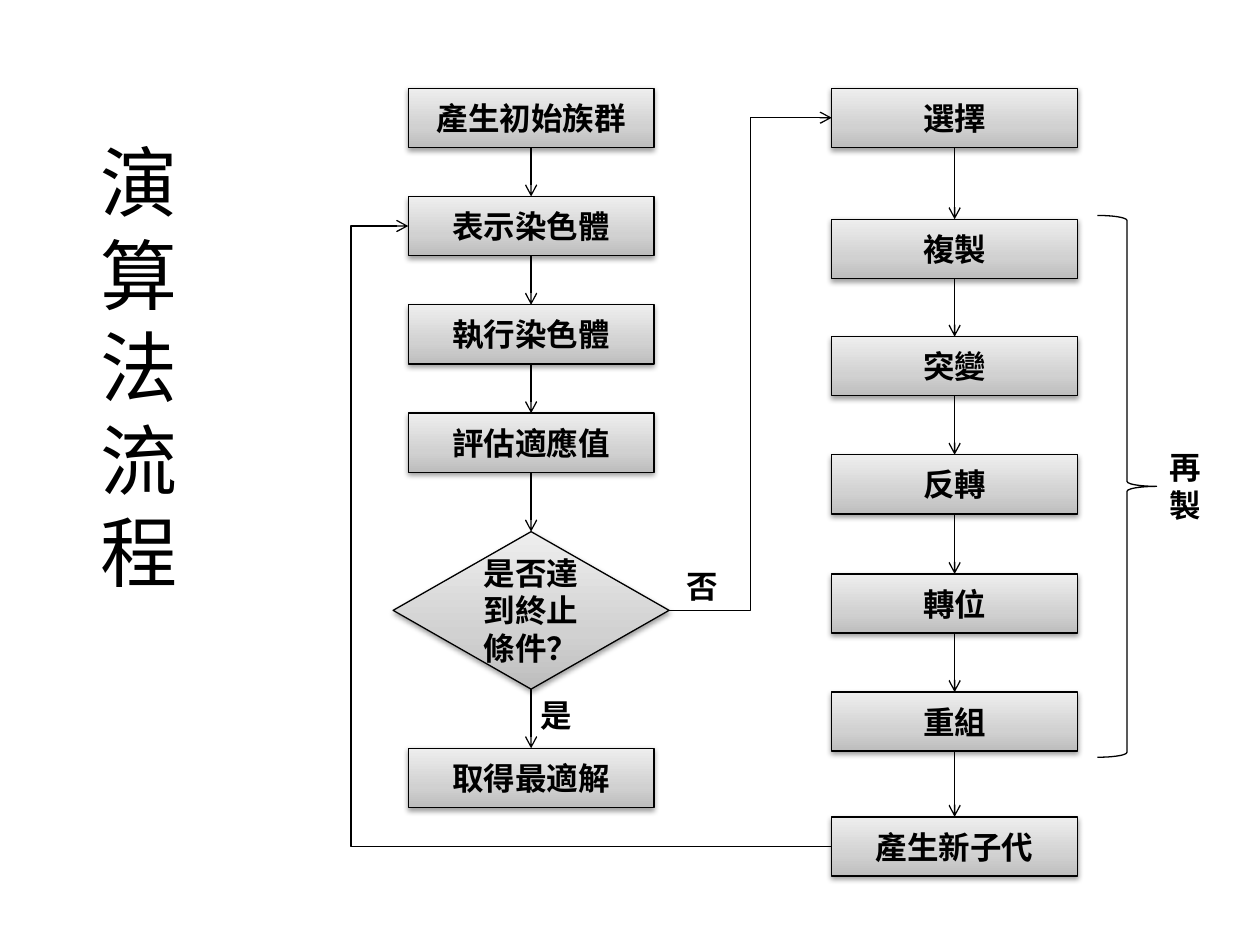
"""Build a flowchart slide of an evolutionary algorithm."""
from copy import deepcopy
from dataclasses import dataclass
from itertools import pairwise

from lxml import etree
from pptx import Presentation
from pptx.dml.color import RGBColor
from pptx.enum.shapes import MSO_CONNECTOR, MSO_SHAPE
from pptx.enum.text import MSO_ANCHOR, MSO_AUTO_SIZE, PP_ALIGN
from pptx.oxml.ns import qn
from pptx.shapes.autoshape import Shape
from pptx.shapes.connector import Connector
from pptx.slide import Slide
from pptx.text.text import TextFrame
from pptx.util import Pt

RECT, DIAMOND, BRACE = MSO_SHAPE.RECTANGLE, MSO_SHAPE.DIAMOND, MSO_SHAPE.LEFT_BRACE
STRAIGHT, ELBOW = MSO_CONNECTOR.STRAIGHT, MSO_CONNECTOR.ELBOW
LEFT, CENTER = PP_ALIGN.LEFT, PP_ALIGN.CENTER
TOP, MIDDLE = MSO_ANCHOR.TOP, MSO_ANCHOR.MIDDLE
NO_AUTOSIZE = MSO_AUTO_SIZE.NONE
TOP_SITE, LEFT_SITE, BOTTOM_SITE, RIGHT_SITE = range(4)

COLORS = {"ink": "000000", "low": "BDBDBD", "mid": "D1D1D1", "high": "EEEEEE"}
GRADIENT = ((0, "low"), (0.35, "mid"), (1, "high"))
FONT = "Noto Sans CJK SC"
TITLE_SIZE, BODY_SIZE = 44, 18
LINE_FACTOR = 1.2
LINE_WIDTH = 0.75
STEP_WIDTH, STEP_HEIGHT = 140.4, 33.8
MAIN_CENTER, REPRODUCTION_CENTER = 303.5, 545.5
FIRST_TOP, MAIN_PITCH = 50.4, 61.9


@dataclass(frozen=True)
class Step:
    """A flowchart node, centred on its column."""

    text: str
    center: float
    top: float
    width: float = STEP_WIDTH
    height: float = STEP_HEIGHT
    kind: MSO_SHAPE = RECT


@dataclass(frozen=True)
class Label:
    """A free caption, one paragraph per line."""

    lines: str
    left: float
    top: float
    width: float
    height: float


MAIN_STEPS = [
    Step(text, MAIN_CENTER, FIRST_TOP + row * MAIN_PITCH)
    for row, text in enumerate(("產生初始族群", "表示染色體", "執行染色體", "評估適應值"))
] + [
    Step("是否達到終止條件？", MAIN_CENTER, 303.8, 157.7, 90, DIAMOND),
    Step("取得最適解", MAIN_CENTER, 427.6),
]
REPRODUCTION_STEPS = [
    Step(text, REPRODUCTION_CENTER, top)
    for text, top in (
        ("選擇", FIRST_TOP), ("複製", 125.3), ("突變", 192.4), ("反轉", 259.9),
        ("轉位", 328), ("重組", 395.5), ("產生新子代", 466.8),
    )
]
LABELS = (
    Label("是", 301.7, 394, 32.4, 29),
    Label("否", 385.2, 320.6, 32.4, 29),
    Label("再製", 661, 252.7, 32.4, 51),
)


def rgb(key: str) -> RGBColor:
    """Look up a palette colour."""
    return RGBColor.from_string(COLORS[key])


def write(frame: TextFrame, lines: list[str], size: float, bold: bool,
          align: PP_ALIGN, anchor: MSO_ANCHOR, fixed_pitch: bool) -> None:
    """Fill a text frame with one run per paragraph."""
    frame.word_wrap = True
    frame.auto_size = NO_AUTOSIZE
    frame.vertical_anchor = anchor
    for index, line in enumerate(lines):
        paragraph = frame.add_paragraph() if index else frame.paragraphs[0]
        paragraph.alignment = align
        if fixed_pitch:
            paragraph.line_spacing = Pt(size * LINE_FACTOR)
        run = paragraph.add_run()
        run.text = line
        run.font.size = Pt(size)
        run.font.bold = bold
        run.font.color.rgb = rgb("ink")
        run.font.name = FONT
        etree.SubElement(run.font._element, qn("a:ea"), typeface=FONT)


def outline(item: Shape | Connector) -> None:
    """Give a shape or connector the thin dark line."""
    item.line.color.rgb = rgb("ink")
    item.line.width = Pt(LINE_WIDTH)


def shade(node: Shape) -> None:
    """Apply the grey gradient and the soft drop shadow."""
    node.fill.gradient()
    node.fill.gradient_angle = 90
    stops = node._element.spPr.find(f".//{qn('a:gsLst')}")
    stops.append(deepcopy(stops[-1]))
    for stop, (position, key) in zip(node.fill.gradient_stops, GRADIENT):
        stop.position = position
        stop.color.rgb = rgb(key)
    node.shadow.inherit = False
    effects = node._element.spPr.find(qn("a:effectLst"))
    shadow = etree.SubElement(
        effects, qn("a:outerShdw"), blurRad=str(Pt(3.1)), dist=str(Pt(1.6)),
        dir="5400000", rotWithShape="0")
    tint = etree.SubElement(shadow, qn("a:srgbClr"), val=COLORS["ink"])
    etree.SubElement(tint, qn("a:alpha"), val="38000")


def draw_step(slide: Slide, step: Step) -> Shape:
    """Draw a flowchart node."""
    node = slide.shapes.add_shape(
        step.kind, Pt(step.center - step.width / 2), Pt(step.top),
        Pt(step.width), Pt(step.height))
    shade(node)
    outline(node)
    write(node.text_frame, [step.text], BODY_SIZE, True, CENTER, MIDDLE,
          step.kind == DIAMOND)
    return node


def draw_arrow(slide: Slide, source: Shape, target: Shape,
               source_site: int = BOTTOM_SITE, target_site: int = TOP_SITE,
               kind: MSO_CONNECTOR = STRAIGHT, bend: float = 0.5) -> None:
    """Join two nodes with an arrow glued to their connection sites."""
    arrow = slide.shapes.add_connector(kind, 0, 0, 0, 0)
    arrow.begin_connect(source, source_site)
    arrow.end_connect(target, target_site)
    outline(arrow)
    properties = arrow._element.spPr
    etree.SubElement(properties.find(qn("a:ln")), qn("a:tailEnd"), type="arrow")
    etree.SubElement(properties, qn("a:effectLst"))
    if kind == ELBOW:
        guides = properties.find(f".//{qn('a:avLst')}")
        etree.SubElement(guides, qn("a:gd"), name="adj1",
                         fmla=f"val {round(bend * 100000)}")


def draw_label(slide: Slide, label: Label) -> None:
    """Draw a bold caption."""
    caption = slide.shapes.add_textbox(
        Pt(label.left), Pt(label.top), Pt(label.width), Pt(label.height))
    write(caption.text_frame, list(label.lines), BODY_SIZE, True, LEFT, TOP,
          len(label.lines) > 1)


def draw_title(slide: Slide, text: str) -> None:
    """Stack the title characters down the left edge."""
    title = slide.shapes.title
    title.left, title.top, title.width, title.height = Pt(50.4), Pt(73.4), Pt(59), Pt(273.6)
    write(title.text_frame, list(text), TITLE_SIZE, False, LEFT, TOP, True)


def draw_brace(slide: Slide) -> None:
    """Bracket the reproduction operators."""
    brace = slide.shapes.add_shape(BRACE, Pt(627.1), Pt(123.1), Pt(33.8), Pt(309.6))
    brace.rotation = 180
    brace.fill.background()
    brace.shadow.inherit = False
    outline(brace)


def main() -> None:
    """Build and save the slide."""
    deck = Presentation()
    deck.slide_width, deck.slide_height = Pt(720), Pt(540)
    slide = deck.slides.add_slide(deck.slide_layouts[5])
    draw_title(slide, "演算法流程")
    main_nodes = [draw_step(slide, step) for step in MAIN_STEPS]
    reproduction_nodes = [draw_step(slide, step) for step in REPRODUCTION_STEPS]
    for column in (main_nodes, reproduction_nodes):
        for source, target in pairwise(column):
            draw_arrow(slide, source, target)
    represent, decision = main_nodes[1], main_nodes[4]
    select, offspring = reproduction_nodes[0], reproduction_nodes[-1]
    draw_arrow(slide, decision, select, RIGHT_SITE, LEFT_SITE, ELBOW)
    draw_arrow(slide, offspring, represent, LEFT_SITE, LEFT_SITE, ELBOW, 1.135)
    draw_brace(slide)
    for label in LABELS:
        draw_label(slide, label)
    deck.save("out.pptx")


if __name__ == "__main__":
    main()
